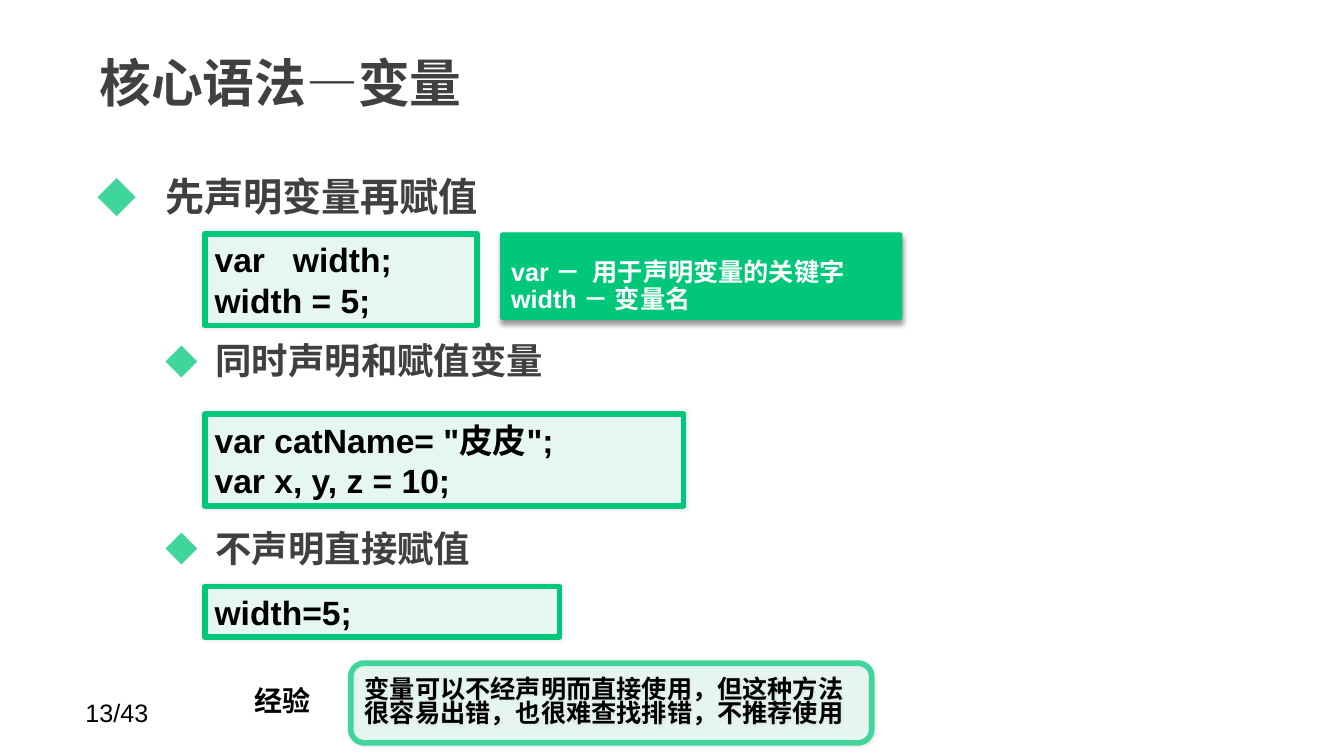
from lxml import etree
from pptx import Presentation
from pptx.dml.color import RGBColor
from pptx.enum.shapes import MSO_SHAPE
from pptx.enum.text import MSO_ANCHOR
from pptx.oxml.ns import qn
from pptx.util import Cm, Pt

ROUNDED = MSO_SHAPE.ROUNDED_RECTANGLE
TOP, MIDDLE, BOTTOM = MSO_ANCHOR.TOP, MSO_ANCHOR.MIDDLE, MSO_ANCHOR.BOTTOM

TITLE = "核心语法—变量"
PAGE = "13/43"
HEADINGS = [
    {"words": "先声明变量再赋值", "middle": 4.94, "level": 0},
    {"words": "同时声明和赋值变量", "middle": 9.07, "level": 1},
    {"words": "不声明直接赋值", "middle": 13.8, "level": 1},
]
CODE = [
    {"lines": ["var   width;", "width = 5;"], "top": 5.89, "width": 6.86},
    {"lines": ['var catName= "皮皮";', "var x, y, z = 10;"], "top": 10.44, "width": 12.07},
    {"lines": ["width=5;"], "top": 14.78, "width": 8.94},
]
KEYWORDS = ["var －  用于声明变量的关键字", "width － 变量名"]
TIP_LABEL = "经验"
TIP = "变量可以不经声明而直接使用，但这种方法很容易出错，也很难查找排错，不推荐使用"

THEME = {
    "latin": "Arial", "chinese": "Noto Sans CJK SC",
    "ink": "404040", "black": "000000", "white": "FFFFFF",
    "green": "00C77A", "light_green": "40D59B", "code_fill": "E6F6F0", "tip_fill": "A6EBD1",
    "title": 37, "heading": [28, 26], "code": 24, "label": 20, "small": 18,
    "bullet_size": [100, 90], "indent": [(1.7, 1.7), (2.97, 1.27)],
}
CODE_LEFT, HEADING_LEFT = 5.16, 2.13
HEADING_HEIGHT = 1.6
CODE_HEIGHTS = {1: 1.27, 2: 2.31}


def add_shadow(effects, opacity, blur, distance, angle):
    shadow = etree.SubElement(effects, qn("a:outerShdw"), blurRad=str(Pt(blur)),
                              dist=str(Pt(distance)), dir=str(angle * 60000),
                              algn="ctr", rotWithShape="0")
    color = etree.SubElement(shadow, qn("a:srgbClr"), val=THEME["black"])
    etree.SubElement(color, qn("a:alpha"), val=str(opacity * 1000))


def add_bullet(paragraph, level):
    margin, hanging = THEME["indent"][level]
    properties = paragraph._p.get_or_add_pPr()
    properties.set("marL", str(Cm(margin)))
    properties.set("indent", str(-Cm(hanging)))
    color = etree.SubElement(properties, qn("a:buClr"))
    etree.SubElement(color, qn("a:srgbClr"), val=THEME["light_green"])
    etree.SubElement(properties, qn("a:buSzPct"), val=str(THEME["bullet_size"][level] * 1000))
    etree.SubElement(properties, qn("a:buFont"), typeface=THEME["chinese"])
    etree.SubElement(properties, qn("a:buChar"), char="◆")


def write(holder, lines, size, color="black", font="chinese", bold=True, anchor=MIDDLE,
          inset=0.25, spacing=None, bullet=None, shadow=False):
    frame = holder.text_frame
    frame.word_wrap = True
    frame.vertical_anchor = anchor
    frame.margin_left = frame.margin_right = Cm(inset)
    frame.margin_top = frame.margin_bottom = Cm(inset / 2)
    for index, line in enumerate(lines):
        paragraph = frame.add_paragraph() if index else frame.paragraphs[0]
        if spacing:
            paragraph.line_spacing = spacing
        if bullet is not None:
            add_bullet(paragraph, bullet)
        run = paragraph.add_run()
        run.text = line
        run.font.size = Pt(size)
        run.font.bold = bold
        run.font.name = THEME[font]
        run.font.color.rgb = RGBColor.from_string(THEME[color])
        properties = run._r.get_or_add_rPr()
        latin = properties.find(qn("a:latin"))
        east_asian = etree.Element(qn("a:ea"), typeface=THEME["chinese"])
        latin.addnext(east_asian)
        if shadow:
            effects = etree.Element(qn("a:effectLst"))
            latin.addprevious(effects)
            add_shadow(effects, 40, 3, 2, 45)


def text_box(slide, box, lines, **text_format):
    holder = slide.shapes.add_textbox(*map(Cm, box))
    write(holder, lines, **text_format)


def panel(slide, box, lines, fill, line, line_width=4, corner=0, opacity=None,
          shadow=(10, 3, 0, 0), **text_format):
    shape = slide.shapes.add_shape(ROUNDED, *map(Cm, box))
    shape.adjustments[0] = corner
    shape.fill.solid()
    shape.fill.fore_color.rgb = RGBColor.from_string(THEME[fill])
    properties = shape._element.spPr
    if opacity:
        color = properties.find(qn("a:solidFill")).find(qn("a:srgbClr"))
        etree.SubElement(color, qn("a:alpha"), val=str(opacity * 1000))
    shape.line.color.rgb = RGBColor.from_string(THEME[line])
    shape.line.width = Pt(line_width)
    shape.shadow.inherit = False
    add_shadow(properties.find(qn("a:effectLst")), *shadow)
    write(shape, lines, **text_format)
    for paragraph in shape.text_frame.paragraphs:
        paragraph._p.get_or_add_pPr().set("algn", "l")


def main():
    deck = Presentation()
    deck.slide_width, deck.slide_height = Cm(33.87), Cm(19.05)
    slide = deck.slides.add_slide(deck.slide_layouts[6])

    text_box(slide, (1.9, 17.45, 5.92, 1.02), [PAGE], size=THEME["small"],
             font="latin", bold=False, anchor=TOP)
    text_box(slide, (2.18, 0.76, 26.44, 2.62), [TITLE], size=THEME["title"],
             color="ink", inset=0.33)
    for heading in HEADINGS:
        level = heading["level"]
        top = heading["middle"] - HEADING_HEIGHT / 2
        text_box(slide, (HEADING_LEFT, top, 29.69, HEADING_HEIGHT), [heading["words"]],
                 size=THEME["heading"][level], color="ink", inset=0.33, bullet=level)

    panel(slide, (12.62, 5.87, 10.11, 2.18), KEYWORDS, fill="green", line="green",
          line_width=0.75, corner=0.02, shadow=(40, 4, 3, 90), size=THEME["small"],
          color="white", font="latin", anchor=BOTTOM, spacing=0.9)
    for code in CODE:
        height = CODE_HEIGHTS[len(code["lines"])]
        panel(slide, (CODE_LEFT, code["top"], code["width"], height), code["lines"],
              fill="code_fill", line="green", size=THEME["code"], font="latin")

    panel(slide, (8.84, 16.71, 13.13, 2.01), [TIP], fill="tip_fill", line="light_green",
          corner=0.17, opacity=22, size=THEME["small"], spacing=0.82)
    text_box(slide, (6.17, 17.09, 1.96, 1.12), [TIP_LABEL], size=THEME["label"], shadow=True)

    deck.save("out.pptx")


if __name__ == "__main__":
    main()
